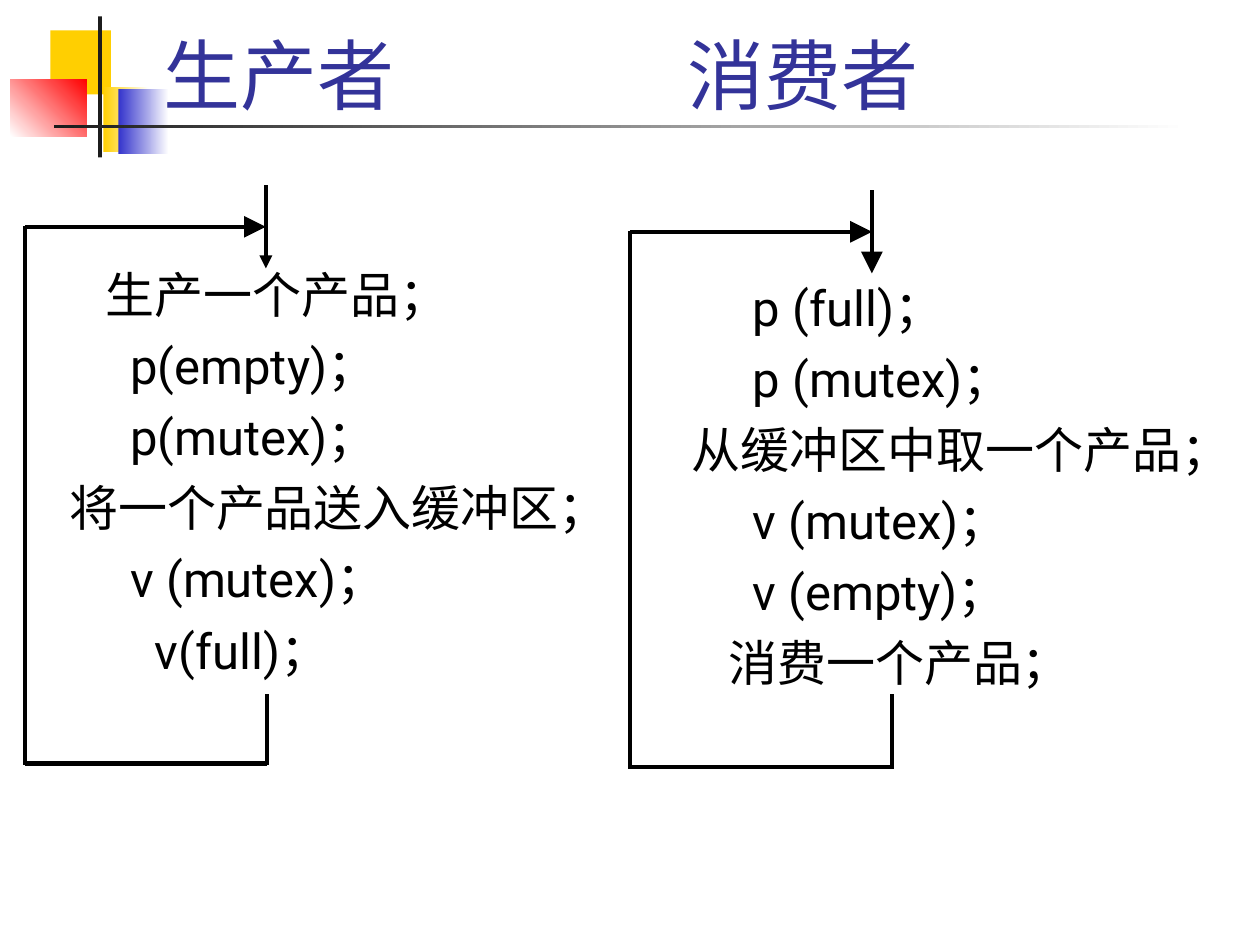
import dataclasses

import lxml.etree
import pptx
import pptx.dml.color
import pptx.enum.shapes
import pptx.enum.text
import pptx.oxml.ns
import pptx.util


@dataclasses.dataclass(frozen=True)
class Theme:
    font: str = "Roboto"
    title_size: float = 44
    body_size: float = 28
    space_before: float = 7
    line_width: float = 2.5
    title: str = "333399"
    ink: str = "000000"
    gold: str = "FFCF01"
    blue: str = "3333CC"
    red: str = "FF0000"
    dark: str = "1C1C1C"
    paper: str = "FFFFFF"


@dataclasses.dataclass(frozen=True)
class Box:
    """An area in grid columns and rows."""
    left: float
    top: float
    width: float
    height: float


THEME = Theme()
COLUMNS, ROWS = 100, 75
CELL = pptx.util.Inches(0.1)
HANGING = 3.8
STEP = 0.97  # columns per indent step

PRODUCER = [(3, "生产一个产品；"), (5, "p(empty)；"), (5, "p(mutex)；"),
            (0, "将一个产品送入缓冲区；"), (5, "v (mutex)；"), (7, "v(full)；")]
CONSUMER = [(5, "p (full)；"), (5, "p (mutex)；"), (0, "从缓冲区中取一个产品；"),
            (5, "v (mutex)；"), (5, "v (empty)；"), (3, "消费一个产品；")]


def cells(count):
    return pptx.util.Emu(round(count * CELL))


def rgb(code):
    return pptx.dml.color.RGBColor.from_string(code)


def sub(parent, tag, **attributes):
    return lxml.etree.SubElement(parent, pptx.oxml.ns.qn(tag), attributes)


def put(shape, box):
    shape.left, shape.top = cells(box.left), cells(box.top)
    shape.width, shape.height = cells(box.width), cells(box.height)


def add_span(para, text, size, color):
    span = para.add_run()
    span.text = text
    span.font.size = pptx.util.Pt(size)
    span.font.name = THEME.font
    span.font.color.rgb = rgb(color)
    sub(span.font._element, "a:ea", typeface=THEME.font)


def add_block(page, box, colors, angle=0):
    """A borderless rectangle, plain or shaded between two colours."""
    block = page.shapes.add_shape(
        pptx.enum.shapes.MSO_SHAPE.RECTANGLE, cells(box.left), cells(box.top),
        cells(box.width), cells(box.height))
    block.shadow.inherit = False
    block.line.fill.background()
    if len(colors) == 1:
        block.fill.solid()
        block.fill.fore_color.rgb = rgb(colors[0])
    else:
        block.fill.gradient()
        block.fill.gradient_angle = angle
        for stop, color, position in zip(block.fill.gradient_stops, colors, (0, 1)):
            stop.color.rgb = rgb(color)
            stop.position = position


def add_ornament(page, box):
    def part(left, top, width, height):
        return Box(box.left + left, box.top + top, width, height)

    add_block(page, part(3.2, 1.1, 4.8, 5.1), [THEME.gold])
    add_block(page, part(7.4, 5.6, 3.6, 5.2), [THEME.gold, THEME.paper])
    add_block(page, part(8.6, 5.8, 4, 5.1), [THEME.blue, THEME.paper])
    add_block(page, part(0, 5, 6.1, 4.5), [THEME.paper, THEME.red], 45)
    add_block(page, part(7, 0, 0.3, 11.2), [THEME.dark])
    add_block(page, part(3.5, 8.6, box.width - 3.5, 0.3), [THEME.dark, THEME.paper])


def fill_title(title, box, names, tab):
    put(title, box)
    frame = title.text_frame
    frame.vertical_anchor = pptx.enum.text.MSO_ANCHOR.BOTTOM
    frame.auto_size = pptx.enum.text.MSO_AUTO_SIZE.NONE
    para = frame.paragraphs[0]
    para.alignment = pptx.enum.text.PP_ALIGN.LEFT
    tabs = sub(para._p.get_or_add_pPr(), "a:tabLst")
    sub(tabs, "a:tab", pos=str(cells(tab)), algn="l")
    add_span(para, "\t".join(names), THEME.title_size, THEME.title)


def fill_steps(body, box, steps):
    put(body, box)
    frame = body.text_frame
    frame.auto_size = pptx.enum.text.MSO_AUTO_SIZE.NONE
    for number, (level, text) in enumerate(steps):
        para = frame.add_paragraph() if number else frame.paragraphs[0]
        para.alignment = pptx.enum.text.PP_ALIGN.JUSTIFY
        para.space_before = pptx.util.Pt(THEME.space_before if number else 0)
        settings = para._p.get_or_add_pPr()
        settings.set("marL", str(cells(HANGING)))
        settings.set("indent", str(cells(level * STEP - HANGING)))
        sub(settings, "a:buNone")
        add_span(para, text, THEME.body_size, THEME.ink)


def add_line(page, start, end, arrow=None):
    """A straight line; arrow is the size of the head at its end."""
    line = page.shapes.add_connector(
        pptx.enum.shapes.MSO_CONNECTOR.STRAIGHT, *map(cells, start + end))
    line.line.color.rgb = rgb(THEME.ink)
    line.line.width = pptx.util.Pt(THEME.line_width)
    if arrow:
        sub(line.line._get_or_add_ln(), "a:tailEnd", type="triangle", w=arrow, len=arrow)
    sub(line._element.spPr, "a:effectLst")


def add_loop(page, box, exit_width, entry_arrow):
    """The way in, and the path from the last step back to the first."""
    entry, leave = box.left + box.width, box.left + exit_width
    bottom = box.top + box.height
    reach, overlap = 3.3, 0.1
    add_line(page, (entry, box.top - reach), (entry, box.top + reach), entry_arrow)
    add_line(page, (leave, 55.1), (leave, bottom + overlap))
    add_line(page, (leave, bottom), (box.left, bottom))
    add_line(page, (box.left, bottom + overlap), (box.left, box.top - overlap))
    add_line(page, (box.left, box.top), (entry, box.top), "lg")


def main():
    deck = pptx.Presentation()
    deck.slide_width, deck.slide_height = cells(COLUMNS), cells(ROWS)
    page = deck.slides.add_slide(deck.slide_layouts[3])
    title, left_body, right_body = page.placeholders

    add_ornament(page, Box(0.8, 1.3, 93.5, 11.2))
    for holder in (title, left_body, right_body):
        holder.element.getparent().append(holder.element)  # in front of the ornament

    fill_title(title, Box(12, 1.7, 85.2, 8.3), ["生产者", "消费者"], 41.6)
    fill_steps(left_body, Box(4.5, 20.5, 46.6, 40), PRODUCER)
    fill_steps(right_body, Box(53.9, 21.5, 44.9, 43.8), CONSUMER)
    add_loop(page, Box(2, 18, 19.1, 42.6), 19.2, "med")
    add_loop(page, Box(50, 18.4, 19.2, 42.5), 20.8, "lg")
    deck.save("out.pptx")


if __name__ == "__main__":
    main()
